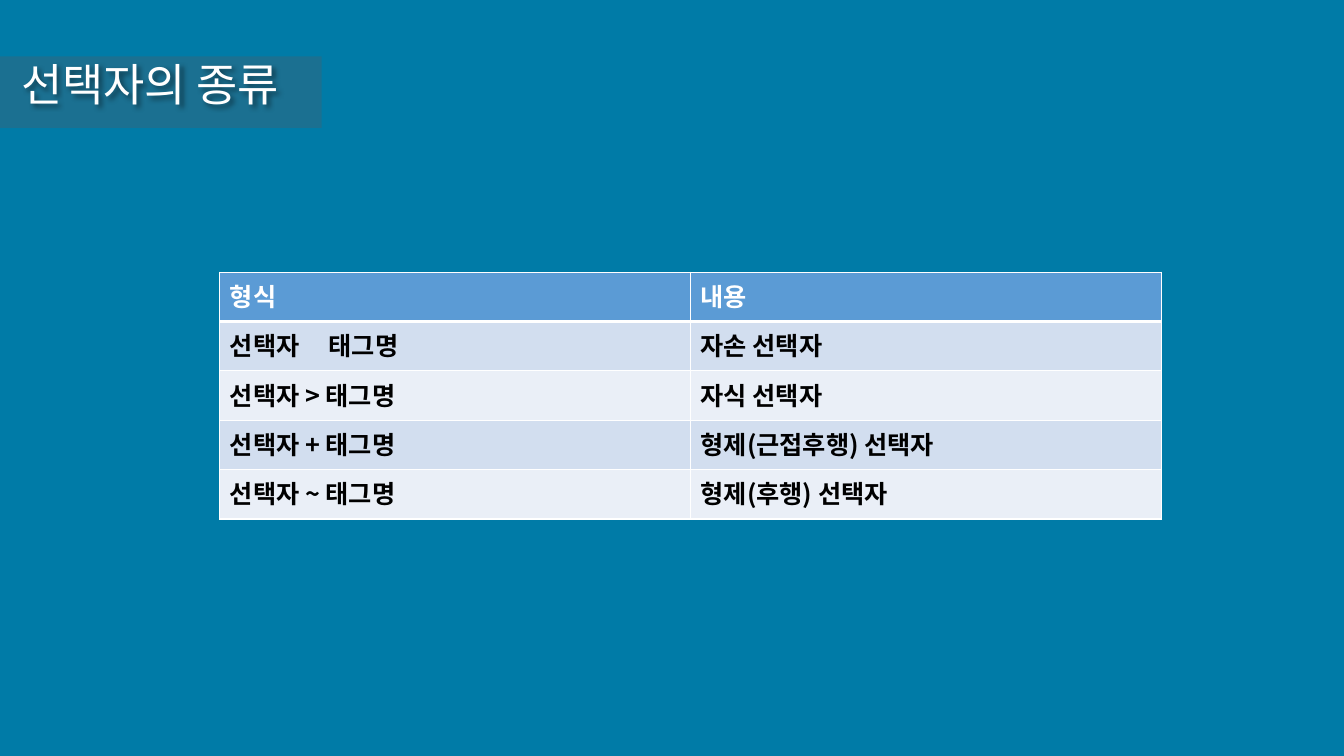
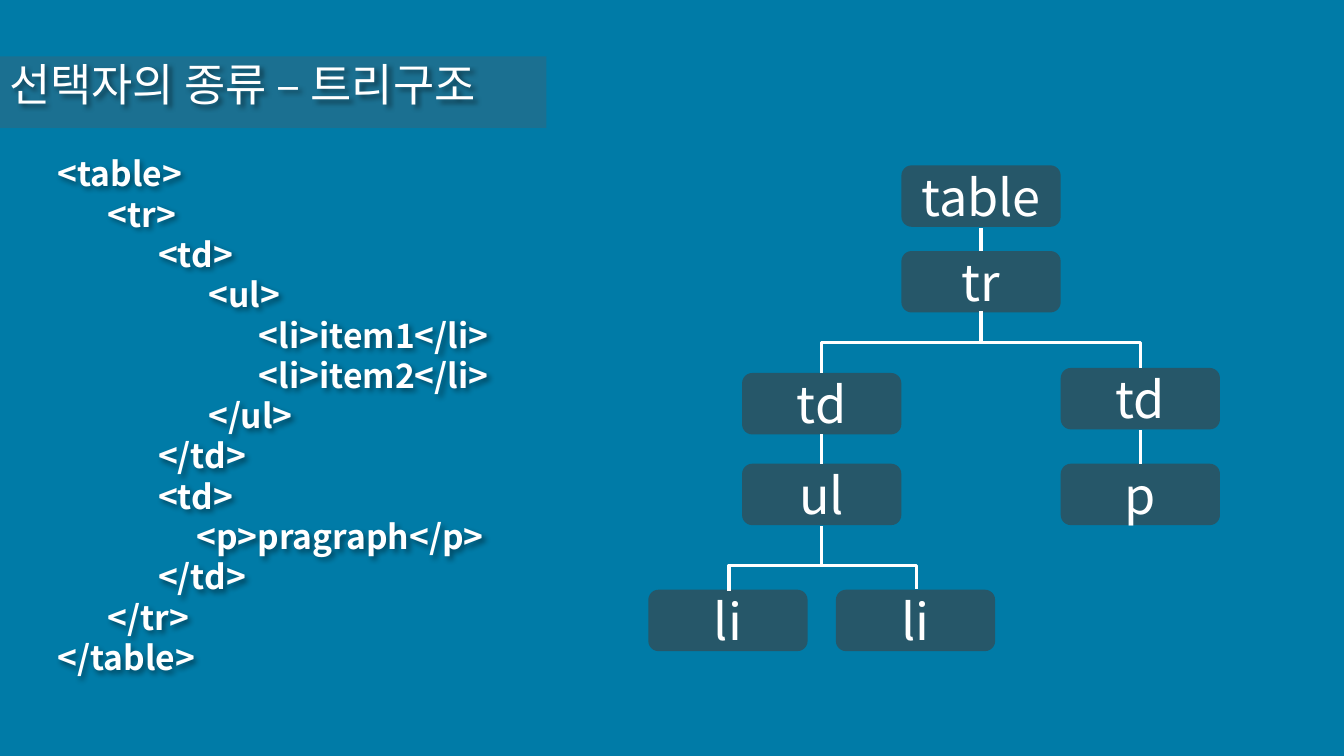
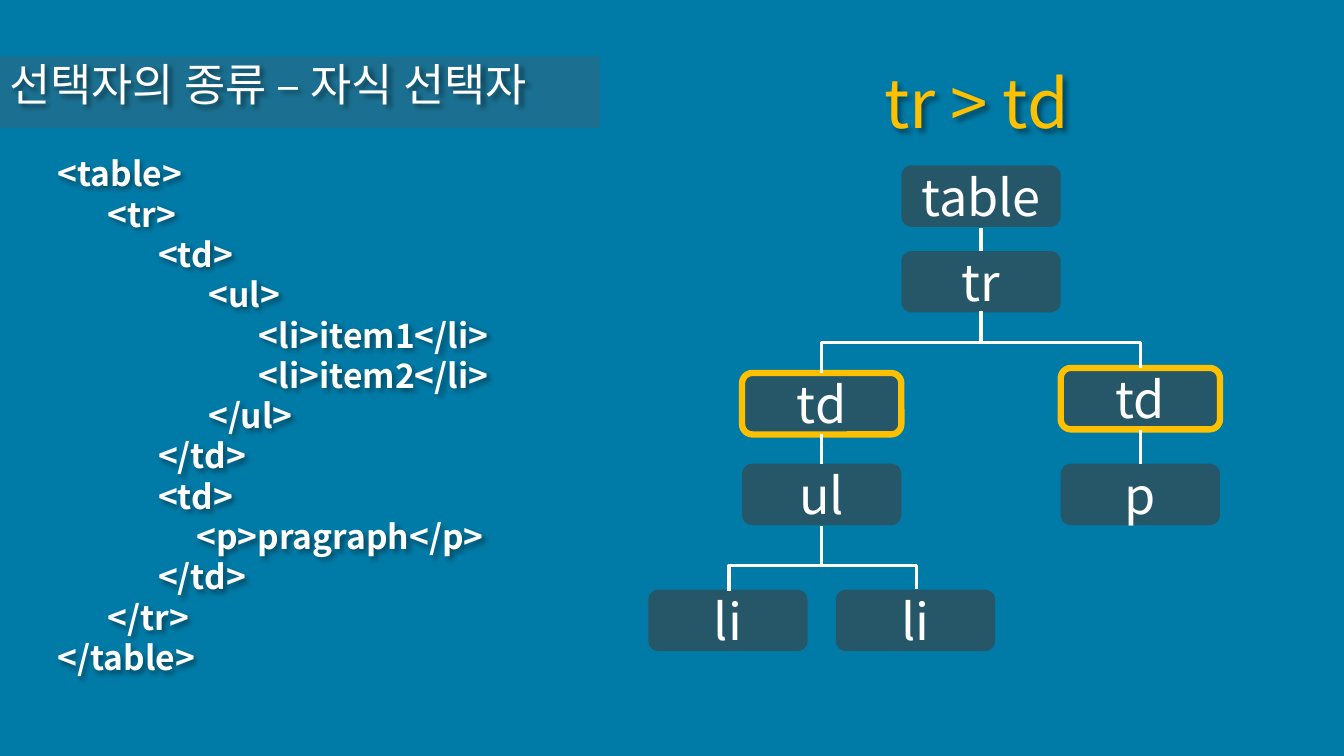
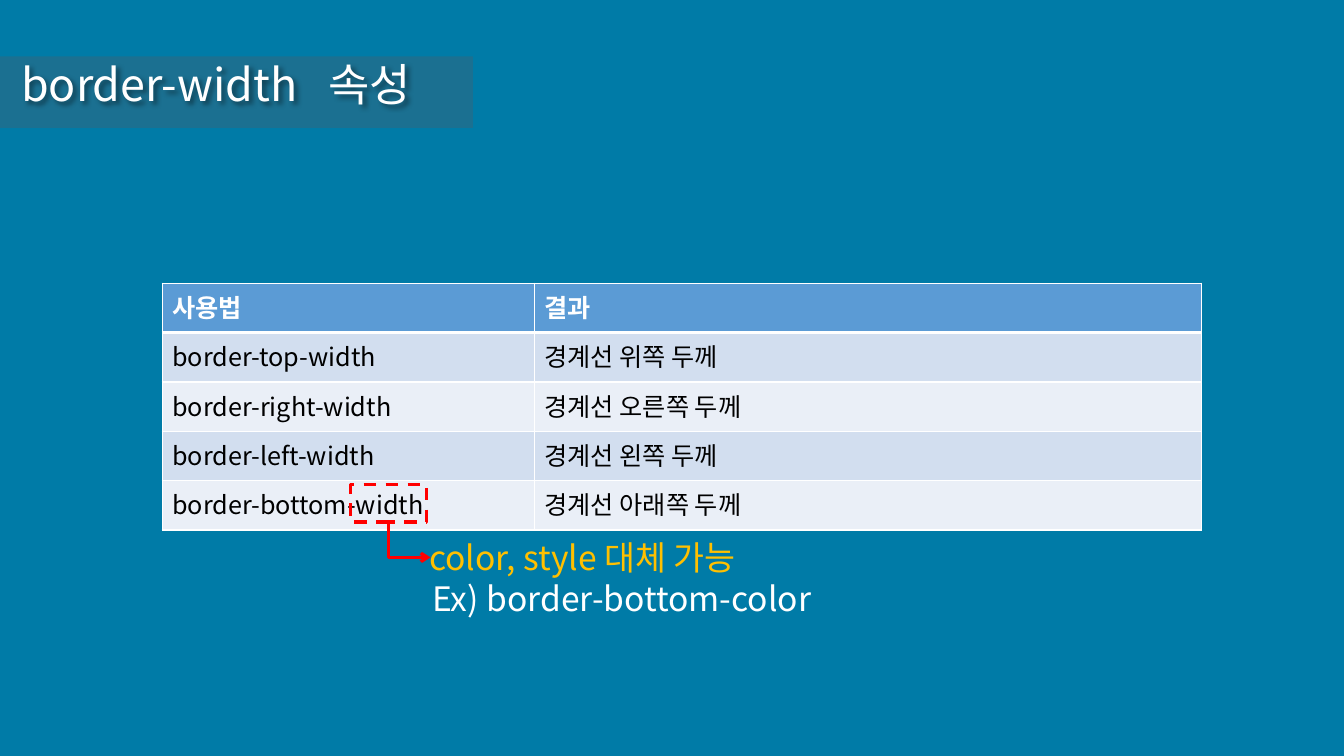
from lxml import etree
from pptx import Presentation
from pptx.dml.color import RGBColor
from pptx.enum.dml import MSO_LINE
from pptx.enum.shapes import MSO_CONNECTOR, MSO_SHAPE
from pptx.enum.text import MSO_ANCHOR, MSO_AUTO_SIZE, PP_ALIGN
from pptx.oxml.ns import qn
from pptx.util import Inches, Pt

RECT, ROUND = MSO_SHAPE.RECTANGLE, MSO_SHAPE.ROUNDED_RECTANGLE
STRAIGHT, ELBOW = MSO_CONNECTOR.STRAIGHT, MSO_CONNECTOR.ELBOW
LEFT, CENTER = PP_ALIGN.LEFT, PP_ALIGN.CENTER
TOP, MIDDLE = MSO_ANCHOR.TOP, MSO_ANCHOR.MIDDLE
NO_FIT, DASH = MSO_AUTO_SIZE.NONE, MSO_LINE.DASH

FONT = "Noto Sans CJK KR"
BLUE = RGBColor(0x00, 0x7B, 0xA7)
BAND = RGBColor(0x61, 0x57, 0x58)
GRAY = RGBColor(0x40, 0x40, 0x40)
GOLD = RGBColor(0xFF, 0xC0, 0x00)
RED = RGBColor(0xFF, 0x00, 0x00)
WHITE = RGBColor(0xFF, 0xFF, 0xFF)
BLACK = RGBColor(0x00, 0x00, 0x00)
HEAD = RGBColor(0x5B, 0x9B, 0xD5)
ROWS = (RGBColor(0xEA, 0xEF, 0xF7), RGBColor(0xD2, 0xDE, 0xEF))

NODE_W, NODE_H = 1.58, 0.61
NODES = [
    ("table", 8.94, 1.64), ("tr", 8.94, 2.49),
    ("td", 7.36, 3.7), ("td", 10.52, 3.65),
    ("ul", 7.36, 4.6), ("li", 6.43, 5.85),
    ("li", 8.29, 5.85), ("p", 10.52, 4.6),
]
STEMS = [
    (9.73, 2.26, 2.49), (9.73, 3.09, 3.41), (8.15, 4.31, 4.6),
    (11.31, 4.27, 4.6), (8.15, 5.22, 5.6),
]
FORKS = [((8.15, 3.7), (11.31, 3.65), 3.4), ((7.23, 5.86), (9.09, 5.84), 5.61)]
CODE = [
    (0, "<table>"), (1, "<tr>"), (2, "<td>"), (3, "<ul>"),
    (4, "<li>item1</li>"), (4, "<li>item2</li>"), (3, "</ul>"),
    (2, "</td>"), (2, "<td>"), (2, "     <p>pragraph</p>"),
    (2, "</td>"), (1, "</tr>"), (0, "</table>"),
]
KINDS = [
    ("형식", "내용"),
    ("선택자\t태그명", "자손 선택자"),
    ("선택자 > 태그명", "자식 선택자"),
    ("선택자 + 태그명", "형제(근접후행) 선택자"),
    ("선택자 ~ 태그명", "형제(후행) 선택자"),
]
WIDTHS = [
    ("사용법", "결과"),
    ("border-top-width", "경계선 위쪽 두께"),
    ("border-right-width", "경계선 오른쪽 두께"),
    ("border-left-width", "경계선 왼쪽 두께"),
    ("border-bottom-width", "경계선 아래쪽 두께"),
]


def sub(node, tag, **attrs):
    """Append a child element with the given attributes."""
    child = etree.SubElement(node, qn(tag))
    for key, val in attrs.items():
        child.set(key, str(val))
    return child


def add_run(para, text, size, color, bold=False):
    """Add one run in the deck font."""
    run = para.add_run()
    run.text = text
    font = run.font
    font.size, font.bold, font.name = Pt(size), bold, FONT
    font.color.rgb = color
    sub(font._element, "a:ea", typeface=FONT)


def set_tab(para, pos):
    """Give a paragraph one left tab stop."""
    tabs = sub(para._p.get_or_add_pPr(), "a:tabLst")
    sub(tabs, "a:tab", pos=Inches(pos), algn="l")


def add_glow(shape):
    """Cast a soft shadow from the text of a shape."""
    effects = sub(shape._element.spPr, "a:effectLst")
    shade = sub(effects, "a:outerShdw", blurRad=Pt(4), dist=Pt(3),
                dir=2700000, algn="tl", rotWithShape=0)
    sub(sub(shade, "a:srgbClr", val="000000"), "a:alpha", val=43000)


def add_box(slide, kind, box, color=None, alpha=100, line=None, width=1):
    """Add a preset shape with an optional fill and line."""
    shape = slide.shapes.add_shape(kind, *map(Inches, box))
    shape.shadow.inherit = False
    if color is None:
        shape.fill.background()
    else:
        shape.fill.solid()
        shape.fill.fore_color.rgb = color
        tint = shape._element.spPr.find(".//" + qn("a:srgbClr"))
        sub(tint, "a:alpha", val=alpha * 1000)
    if line is None:
        shape.line.fill.background()
    else:
        shape.line.color.rgb = line
        shape.line.width = Pt(width)
    return shape


def add_text(slide, box, wrap=True):
    """Add an empty text box."""
    shape = slide.shapes.add_textbox(*map(Inches, box))
    shape.text_frame.word_wrap = wrap
    return shape


def add_lines(frame, lines, pitch, bold=False):
    """Write 24 point lines of indent, text and colour at a fixed pitch."""
    for i, (indent, text, color) in enumerate(lines):
        para = frame.add_paragraph() if i else frame.paragraphs[0]
        para._p.get_or_add_pPr().set("marL", str(Inches(indent)))
        para.line_spacing = Pt(pitch)
        add_run(para, text, 24, color, bold)


def add_link(slide, kind, start, end, color=WHITE):
    """Add a plain connector."""
    link = slide.shapes.add_connector(kind, *map(Inches, start + end))
    link.line.color.rgb = color
    link.line.width = Pt(2.25)
    sub(link._element.spPr, "a:effectLst")
    return link


def add_bend(slide, start, end, preset, turn, color=WHITE, adjust=None):
    """Add a turned elbow connector that leaves its start vertically."""
    (x1, y1), (x2, y2) = start, end
    mid_x, mid_y = (x1 + x2) / 2, (y1 + y2) / 2
    half_w, half_h = abs(y2 - y1) / 2, abs(x2 - x1) / 2
    link = add_link(slide, ELBOW, (mid_x - half_w, mid_y - half_h),
                    (mid_x + half_w, mid_y + half_h), color)
    props = link._element.spPr
    for key, val in turn.items():
        props.find(qn("a:xfrm")).set(key, str(val))
    shape = props.find(qn("a:prstGeom"))
    shape.set("prst", preset)
    if adjust is not None:
        sub(shape.find(qn("a:avLst")), "a:gd", name="adj1",
            fmla=f"val {round(adjust * 100000)}")
    return link


def add_slide(prs, text, band, left=-0.01, tab=None):
    """Add a slide with its title and title band."""
    slide = prs.slides.add_slide(prs.slide_layouts[5])
    strip = add_box(slide, RECT, (0, 0.56, band, 0.71), BAND, 28)
    slide.shapes._spTree.insert(2, strip._element)
    title = slide.shapes.title
    title.left, title.top = Inches(left), Inches(0.57)
    title.width, title.height = Inches(7.24), Inches(0.64)
    frame = title.text_frame
    frame.auto_size, frame.vertical_anchor = NO_FIT, TOP
    frame.word_wrap = True
    para = frame.paragraphs[0]
    para.alignment, para.line_spacing = LEFT, 0.9
    if tab:
        set_tab(para, tab)
    add_run(para, text, 32, WHITE)
    add_glow(title)
    return slide


def set_edges(cell, row):
    """Draw white cell borders, thick below the header row."""
    props = cell._tc.get_or_add_tcPr()
    for side in "LRTB":
        thick = (side, row) in (("B", 0), ("T", 1))
        edge = sub(props, f"a:ln{side}", w=Pt(3 if thick else 1))
        sub(sub(edge, "a:solidFill"), "a:srgbClr", val=str(WHITE))


def add_grid(slide, left, top, cols, rows, bold):
    """Add a table with a blue header and two row shades."""
    high = 0.49
    box = (left, top, sum(cols), high * len(rows))
    grid = slide.shapes.add_table(len(rows), len(cols), *map(Inches, box)).table
    for col, width in zip(grid.columns, cols):
        col.width = Inches(width)
    for r, row in enumerate(rows):
        grid.rows[r].height = Inches(high)
        for c, text in enumerate(row):
            cell = grid.cell(r, c)
            set_edges(cell, r)
            cell.fill.solid()
            cell.fill.fore_color.rgb = ROWS[r % 2] if r else HEAD
            para = cell.text_frame.paragraphs[0]
            if "\t" in text:
                set_tab(para, 0.98)
            add_run(para, text, 18, BLACK if r else WHITE, bold or r == 0)


def add_code(slide):
    """Add the nested markup."""
    shape = add_text(slide, (0.47, 1.47, 4.95, 5.35))
    lines = [(level * 0.5, text, WHITE) for level, text in CODE]
    add_lines(shape.text_frame, lines, 28.8, True)
    add_glow(shape)


def add_tree(slide, mark=None):
    """Add the element tree, outlining the nodes named by mark."""
    for text, left, top in NODES:
        line = GOLD if text == mark else None
        node = add_box(slide, ROUND, (left, top, NODE_W, NODE_H), GRAY, 60, line, 4.5)
        frame = node.text_frame
        frame.vertical_anchor = MIDDLE
        frame.paragraphs[0].alignment = CENTER
        add_run(frame.paragraphs[0], text, 36, WHITE)
    for x, top, low in STEMS:
        add_link(slide, STRAIGHT, (x, top), (x, low))
    turn = {"rot": 5400000, "flipH": 1, "flipV": 1}
    for start, end, top in FORKS:
        ratio = (start[1] - top) / (start[1] - end[1])
        add_bend(slide, start, end, "bentConnector3", turn, adjust=ratio)


def add_rule(slide, text):
    """Add the large selector above the tree."""
    shape = add_text(slide, (7.58, 0.56, 4.21, 0.91))
    para = shape.text_frame.paragraphs[0]
    para.alignment = CENTER
    add_run(para, text, 48, GOLD)
    add_glow(shape)


def add_hint(slide):
    """Mark the word that can be swapped and explain it."""
    frame = add_box(slide, RECT, (3.48, 4.81, 0.75, 0.37), line=RED, width=2.25)
    frame.line.dash_style = DASH
    turn = {"rot": 16200000, "flipH": 1}
    arrow = add_bend(slide, (3.85, 5.18), (4.27, 5.53), "bentConnector2", turn, RED)
    sub(arrow.line._get_or_add_ln(), "a:tailEnd", type="arrow")
    note = add_text(slide, (4.16, 5.28, 4.56, 0.91), False)
    lines = [(0, "color, style 대체 가능", GOLD),
             (0.03, "Ex) border-bottom-color", WHITE)]
    add_lines(note.text_frame, lines, 28.8)


def main():
    """Build the deck."""
    prs = Presentation()
    prs.slide_width, prs.slide_height = Inches(13.33), Inches(7.5)
    back = prs.slide_master.background.fill
    back.solid()
    back.fore_color.rgb = BLUE

    slide = add_slide(prs, "선택자의 종류", 3.19, 0.11)
    add_grid(slide, 2.18, 2.7, (4.67, 4.67), KINDS, True)

    slide = add_slide(prs, "선택자의 종류 – 트리구조", 5.42)
    add_code(slide)
    add_tree(slide)

    slide = add_slide(prs, "선택자의 종류 – 자식 선택자", 5.95)
    add_code(slide)
    add_tree(slide, "td")
    add_rule(slide, "tr > td")

    slide = add_slide(prs, "border-width\t속성", 4.69, 0.11, 3.05)
    add_grid(slide, 1.61, 2.81, (3.69, 6.62), WIDTHS, False)
    add_hint(slide)

    prs.save("out.pptx")


if __name__ == "__main__":
    main()
